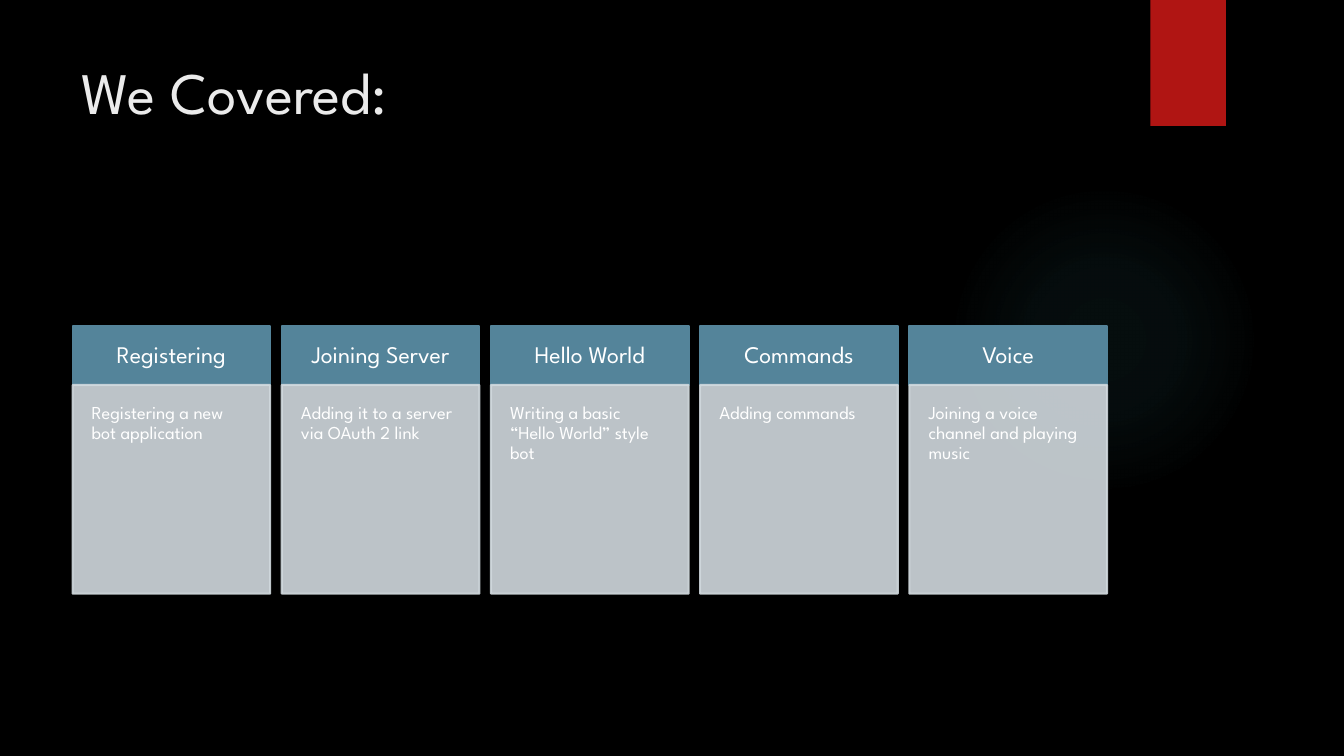
from pptx import Presentation
from pptx.dml.color import RGBColor
from pptx.enum.shapes import MSO_SHAPE
from pptx.enum.text import MSO_ANCHOR, MSO_AUTO_SIZE, PP_ALIGN
from pptx.oxml import parse_xml
from pptx.oxml.ns import nsdecls, qn
from pptx.util import Inches, Pt

BLACK = RGBColor(0x00, 0x00, 0x00)
WHITE = RGBColor(0xFF, 0xFF, 0xFF)
TITLE_GREY = RGBColor(0xEB, 0xEB, 0xEB)
RED = RGBColor(0xB0, 0x15, 0x13)
TEAL = RGBColor(0x50, 0xB9, 0xC1)
HEADER_BLUE = RGBColor(0x54, 0x84, 0x9A)
CARD_GREY = RGBColor(0xD1, 0xD9, 0xDE)
FONT = "League Spartan"

TOPICS = [
    ("Registering", "Registering a new bot application"),
    ("Joining Server", "Adding it to a server via OAuth 2 link"),
    ("Hello World", "Writing a basic “Hello World” style bot"),
    ("Commands", "Adding commands"),
    ("Voice", "Joining a voice channel and playing music"),
]
CARD_WIDTH = 1.96
HEADER_HEIGHT = 0.59


def write_text(shape, text, size, color=WHITE, align=PP_ALIGN.LEFT,
               anchor=MSO_ANCHOR.TOP, inset=None, line_spacing=None):
    """Put one formatted paragraph into a shape."""
    frame = shape.text_frame
    frame.word_wrap = True
    frame.auto_size = MSO_AUTO_SIZE.NONE
    frame.vertical_anchor = anchor
    if inset is not None:
        frame.margin_left = frame.margin_right = Inches(inset)
        frame.margin_top = frame.margin_bottom = Inches(inset)
    para = frame.paragraphs[0]
    para.alignment = align
    if line_spacing:
        para.line_spacing = line_spacing
    span = para.add_run()
    span.text = text
    span.font.name = FONT
    span.font.size = Pt(size)
    span.font.color.rgb = color


def set_opacity(color_format, percent):
    """Add an alpha value to the solid colour of a fill or line."""
    solid = color_format._xFill
    solid[0].append(parse_xml(f'<a:alpha {nsdecls("a")} val="{percent * 1000}"/>'))


def add_block(page, box, color, kind=MSO_SHAPE.RECTANGLE, outlined=False, opacity=None):
    """Draw a plain shape in box = (left, top, width, height)."""
    shape = page.shapes.add_shape(kind, *map(Inches, box))
    shape.shadow.inherit = False
    shape.fill.solid()
    shape.fill.fore_color.rgb = color
    if outlined:
        shape.line.color.rgb = color
        shape.line.width = Pt(1.5)
    else:
        shape.line.fill.background()
    if opacity:
        for solid in shape._element.spPr.iter(qn("a:solidFill")):
            solid[0].append(parse_xml(f'<a:alpha {nsdecls("a")} val="{opacity * 1000}"/>'))
    return shape


def add_glow(page, box):
    """Faint round light that fades towards its rim."""
    glow = add_block(page, box, TEAL, kind=MSO_SHAPE.OVAL)
    stops = "".join(
        f'<a:gs pos="{position * 1000}"><a:srgbClr val="{TEAL}">'
        f'<a:alpha val="{opacity * 1000}"/></a:srgbClr></a:gs>'
        for position, opacity in [(0, 7), (36, 6), (69, 0)])
    gradient = parse_xml(
        f'<a:gradFill {nsdecls("a")}><a:gsLst>{stops}</a:gsLst><a:path path="circle">'
        '<a:fillToRect l="50000" t="50000" r="50000" b="50000"/></a:path></a:gradFill>')
    properties = glow._element.spPr
    properties.replace(properties.find(qn("a:solidFill")), gradient)


def add_title(page, box, text):
    title = page.shapes.title
    title.left, title.top, title.width, title.height = map(Inches, box)
    write_text(title, text, 42, color=TITLE_GREY)


def add_card(page, box, heading, detail):
    """Blue heading above a translucent panel."""
    left, top, width, height = box
    header = add_block(page, (left, top, width, HEADER_HEIGHT), HEADER_BLUE, outlined=True)
    write_text(header, heading, 17, align=PP_ALIGN.CENTER, anchor=MSO_ANCHOR.MIDDLE,
               inset=0.15, line_spacing=0.9)
    panel = add_block(page, (left, top + HEADER_HEIGHT, width, height - HEADER_HEIGHT),
                      CARD_GREY, outlined=True, opacity=90)
    write_text(panel, detail, 13, inset=0.19, line_spacing=0.9)


def add_card_row(page, box, topics):
    """Spread the cards evenly over the width of the box."""
    left, top, width, height = box
    pitch = (width - CARD_WIDTH) / (len(topics) - 1)
    for column, (heading, detail) in enumerate(topics):
        add_card(page, (left + column * pitch, top, CARD_WIDTH, height), heading, detail)


def main():
    deck = Presentation()
    deck.slide_width, deck.slide_height = Inches(13.33), Inches(7.5)
    page = deck.slides.add_slide(deck.slide_layouts[5])
    page.background.fill.solid()
    page.background.fill.fore_color.rgb = BLACK

    # Backdrop
    add_glow(page, (9.41, 1.83, 3.08, 3.08))
    add_block(page, (11.41, 0, 0.75, 1.25), RED)

    # Content
    add_title(page, (0.71, 0.5, 10.29, 1.53), "We Covered:")
    add_card_row(page, (0.72, 3.23, 10.26, 2.66), TOPICS)
    deck.save("out.pptx")


if __name__ == "__main__":
    main()
